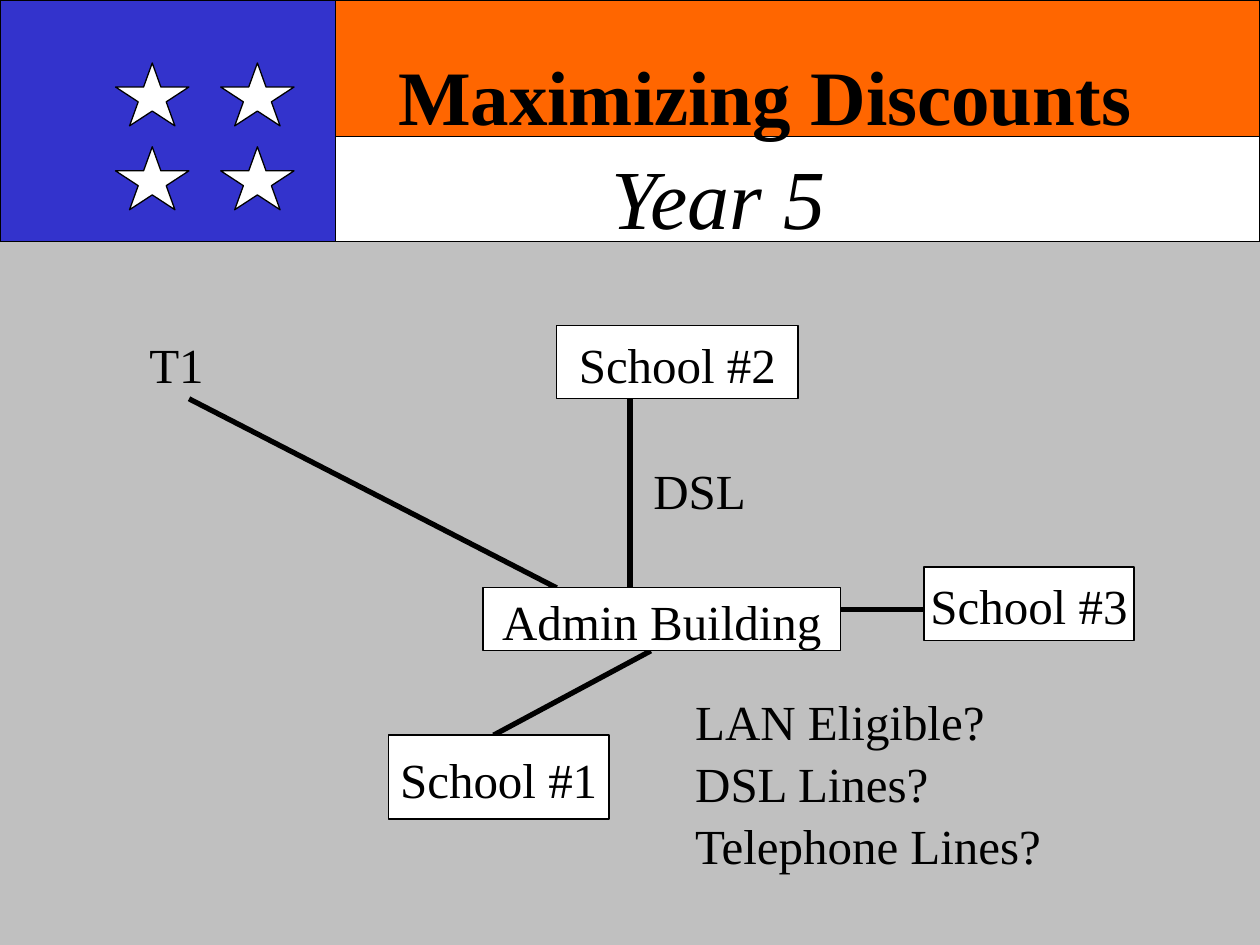
from lxml import etree
from pptx import Presentation
from pptx.dml.color import RGBColor
from pptx.enum.shapes import MSO_CONNECTOR, MSO_SHAPE
from pptx.enum.text import MSO_ANCHOR, MSO_AUTO_SIZE, PP_ALIGN
from pptx.oxml.ns import qn
from pptx.util import Cm, Pt

RECT, STAR = MSO_SHAPE.RECTANGLE, MSO_SHAPE.STAR_5_POINT
STRAIGHT = MSO_CONNECTOR.STRAIGHT
TOP, MIDDLE = MSO_ANCHOR.TOP, MSO_ANCHOR.MIDDLE
LEFT, CENTER = PP_ALIGN.LEFT, PP_ALIGN.CENTER

HEX = {"page": "C0C0C0", "band": "FF6600", "flag": "3333CC",
       "white": "FFFFFF", "ink": "000000"}
RGB = {name: RGBColor.from_string(code) for name, code in HEX.items()}
PLAIN = {"name": "Times New Roman", "size": Pt(28), "bold": False, "italic": False}
HEAD = {**PLAIN, "size": Pt(44), "bold": True}
YEAR = {**PLAIN, "size": Pt(48), "italic": True}


def block(kind, box, fill):
    shape = shapes.add_shape(kind, *map(Cm, box))
    shape.shadow.inherit = False
    shape.fill.solid()
    shape.fill.fore_color.rgb = RGB[fill]
    shape.line.color.rgb = RGB["ink"]
    shape.line.width = Pt(0.75)
    return shape


def write(frame, rows, align=LEFT, anchor=TOP, wrap=False):
    """Fill a frame with rows of (text, font format, left indent in cm)."""
    frame.auto_size = MSO_AUTO_SIZE.NONE
    frame.word_wrap = wrap
    frame.vertical_anchor = anchor
    for i, (text, form, indent) in enumerate(rows):
        par = frame.paragraphs[0] if i == 0 else frame.add_paragraph()
        par.text = text
        par.alignment = align
        par.space_before = Pt(0)
        par.line_spacing = 1.05
        props = par._p.get_or_add_pPr()
        props.set("marL", str(Cm(indent)))
        props.set("indent", "0")
        etree.SubElement(props, qn("a:buNone"))
        font = par.runs[0].font
        for key, value in form.items():
            setattr(font, key, value)
        font.color.rgb = RGB["ink"]


deck = Presentation()
deck.slide_width, deck.slide_height = Cm(25.4), Cm(19.05)
slide = deck.slides.add_slide(deck.slide_layouts[1])
shapes = slide.shapes
slide.background.fill.solid()
slide.background.fill.fore_color.rgb = RGB["page"]

# Flag banner
block(RECT, (6.77, 0, 18.63, 2.75), "band")
block(RECT, (6.77, 2.75, 18.63, 2.12), "white")
block(RECT, (0, 0, 6.77, 4.87), "flag")
for row in range(2):
    for col in range(2):
        block(STAR, (2.33 + 2.12 * col, 1.27 + 1.69 * row, 1.48, 1.27), "white")

# Title and list, moved in front of the banner
title, body = shapes.title, slide.placeholders[1]
for holder, box, rows in (
    (title, (6.99, 0.76, 16.4, 4.17),
     [("Maximizing Discounts", HEAD, 0.78), ("Year 5", YEAR, 5.08)]),
    (body, (13.76, 13.76, 7.8, 3.81),
     [(text, PLAIN, 0) for text in
      ("LAN Eligible?", "DSL Lines?", "Telephone Lines?")]),
):
    holder.left, holder.top, holder.width, holder.height = map(Cm, box)
    write(holder.text_frame, rows, wrap=True)
    shapes.element.append(holder.element)

# Network links
for ends in (
    (3.81, 8.04, 11.22, 11.85),
    (12.7, 11.85, 12.7, 8.04),
    (15.66, 12.28, 18.63, 12.28),
    (9.95, 14.82, 13.12, 13.12),
):
    link = shapes.add_connector(STRAIGHT, *map(Cm, ends))
    link.line.color.rgb = RGB["ink"]
    link.line.width = Pt(3)
    etree.SubElement(link.element.spPr, qn("a:effectLst"))

# Buildings
for text, box in (
    ("School #1", (7.83, 14.82, 4.45, 1.69)),
    ("School #2", (11.22, 6.56, 4.87, 1.48)),
    ("School #3", (18.63, 11.43, 4.23, 1.48)),
    ("Admin Building", (9.74, 11.85, 7.2, 1.27)),
):
    site = block(RECT, box, "white")
    write(site.text_frame, [(text, PLAIN, 0)], CENTER, MIDDLE)

# Link labels
for text, box in (
    ("T1", (2.76, 6.56, 1.6, 1.44)),
    ("DSL", (12.92, 9.1, 2.36, 1.44)),
):
    label = shapes.add_textbox(*map(Cm, box))
    write(label.text_frame, [(text, PLAIN, 0)])

deck.save("out.pptx")
